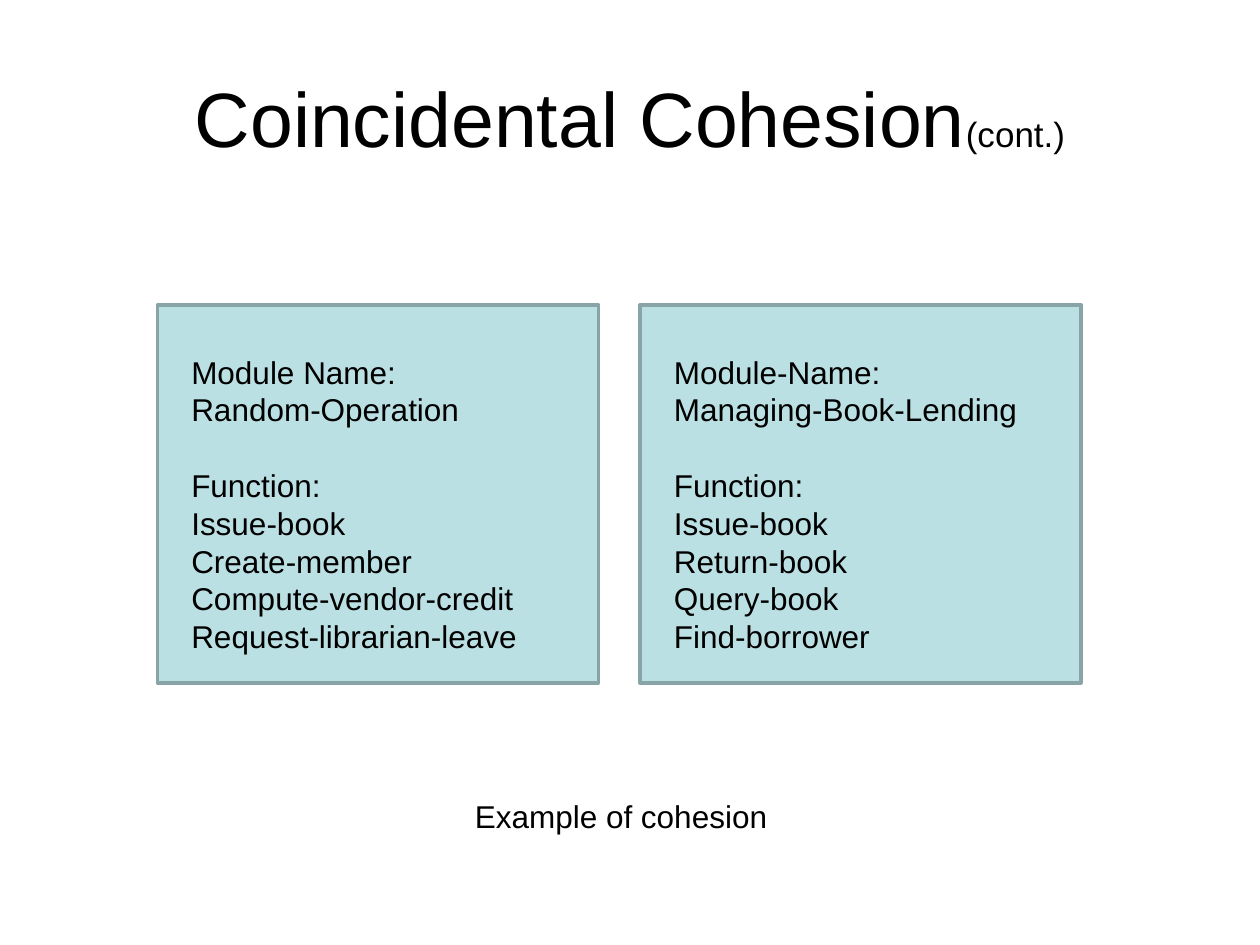
from pptx import Presentation
from pptx.dml.color import RGBColor
from pptx.enum.shapes import MSO_SHAPE
from pptx.enum.text import MSO_ANCHOR, MSO_AUTO_SIZE, PP_ALIGN
from pptx.util import Inches, Pt

COLORS = {"text": "000000", "panel": "BBE0E3", "border": "89A4A7"}
FONT = "Arial"
BODY_SIZE = 18
LINE_PITCH = 21.6
PANEL_TOP = 2.42
MODULES = [
    (1.25, 3, ["Module Name:", "Random-Operation"],
     ["Function:", "Issue-book", "Create-member",
      "Compute-vendor-credit", "Request-librarian-leave"]),
    (5.08, 3.08, ["Module-Name:", "Managing-Book-Lending"],
     ["Function:", "Issue-book", "Return-book", "Query-book", "Find-borrower"]),
]


def color(name):
    """Return the named palette colour."""
    return RGBColor.from_string(COLORS[name])


def add_text(slide, box, groups, align=PP_ALIGN.LEFT, anchor=MSO_ANCHOR.TOP,
             pitch=LINE_PITCH, autosize=MSO_AUTO_SIZE.SHAPE_TO_FIT_TEXT):
    """Add groups of lines, one line of space apart; a line is (text, size) runs."""
    frame = slide.shapes.add_textbox(*map(Inches, box)).text_frame
    frame.word_wrap = True
    frame.auto_size = autosize
    frame.vertical_anchor = anchor
    paragraph = None
    for group in groups:
        for index, line in enumerate(group):
            starts_new_group = paragraph is not None and index == 0
            paragraph = frame.add_paragraph() if paragraph is not None else frame.paragraphs[0]
            paragraph.alignment = align
            if pitch:
                paragraph.line_spacing = Pt(pitch)
            if starts_new_group:
                paragraph.space_before = Pt(pitch)
            for text, size in line:
                run = paragraph.add_run()
                run.text = text
                run.font.name = FONT
                run.font.size = Pt(size)
                run.font.color.rgb = color("text")


def body_lines(texts):
    """Turn plain strings into single-run lines of body size."""
    return [[(text, BODY_SIZE)] for text in texts]


def add_panel(slide, left):
    """Add the bordered rectangle behind one module."""
    panel = slide.shapes.add_shape(
        MSO_SHAPE.RECTANGLE, Inches(left), Inches(PANEL_TOP), Inches(3.5), Inches(3))
    panel.shadow.inherit = False
    panel.fill.solid()
    panel.fill.fore_color.rgb = color("panel")
    panel.line.color.rgb = color("border")
    panel.line.width = Pt(2)


def main():
    """Build and save the slide."""
    deck = Presentation()
    deck.slide_width, deck.slide_height = Inches(10), Inches(7.5)
    slide = deck.slides.add_slide(deck.slide_layouts[6])

    title = [("Coincidental Cohesion", 44), ("(cont.)", 20)]
    add_text(slide, (0.5, 0.3, 9, 1.25), [[title]], align=PP_ALIGN.CENTER,
             anchor=MSO_ANCHOR.MIDDLE, pitch=None, autosize=MSO_AUTO_SIZE.NONE)
    for left, width, heading, functions in MODULES:
        add_panel(slide, left)
        add_text(slide, (left + 0.17, PANEL_TOP + 0.33, width, 2.5),
                 [body_lines(heading), body_lines(functions)])
    add_text(slide, (3.67, 6.28, 4, 0.4), [body_lines(["Example of cohesion"])])

    deck.save("out.pptx")


if __name__ == "__main__":
    main()
